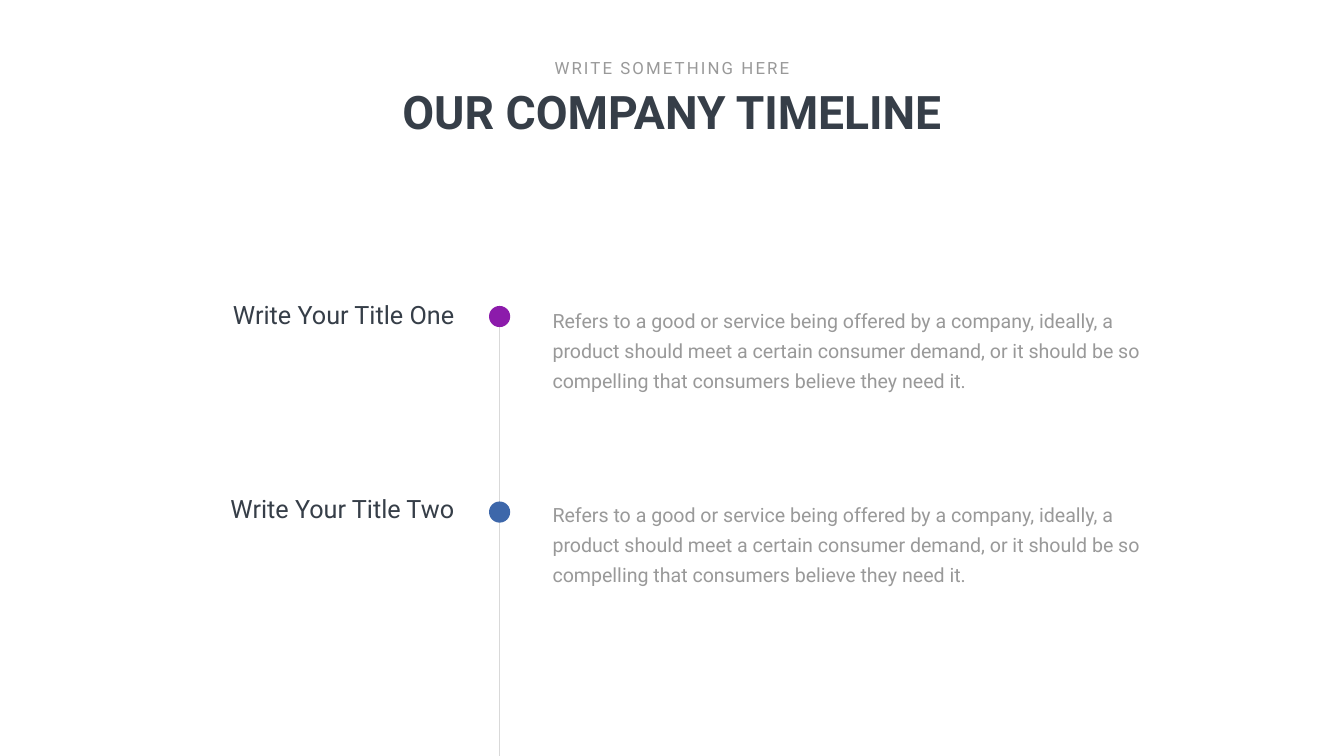
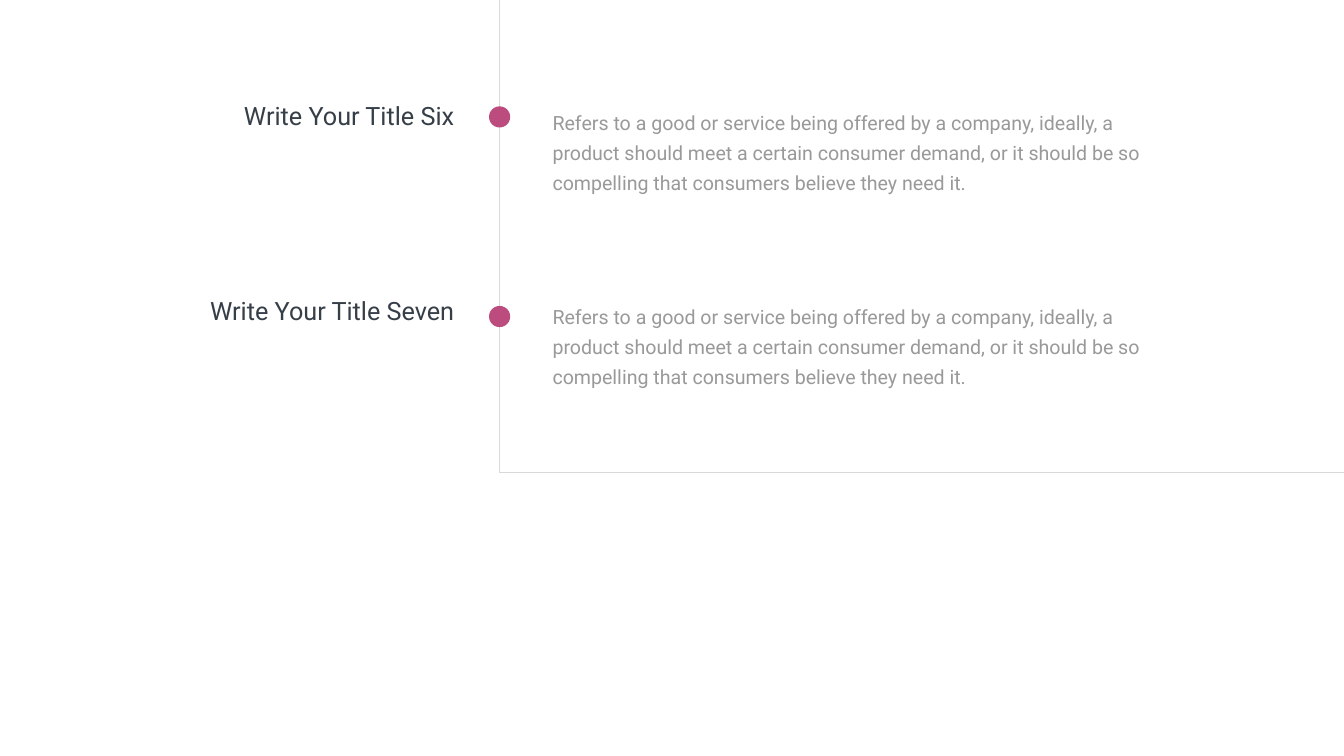
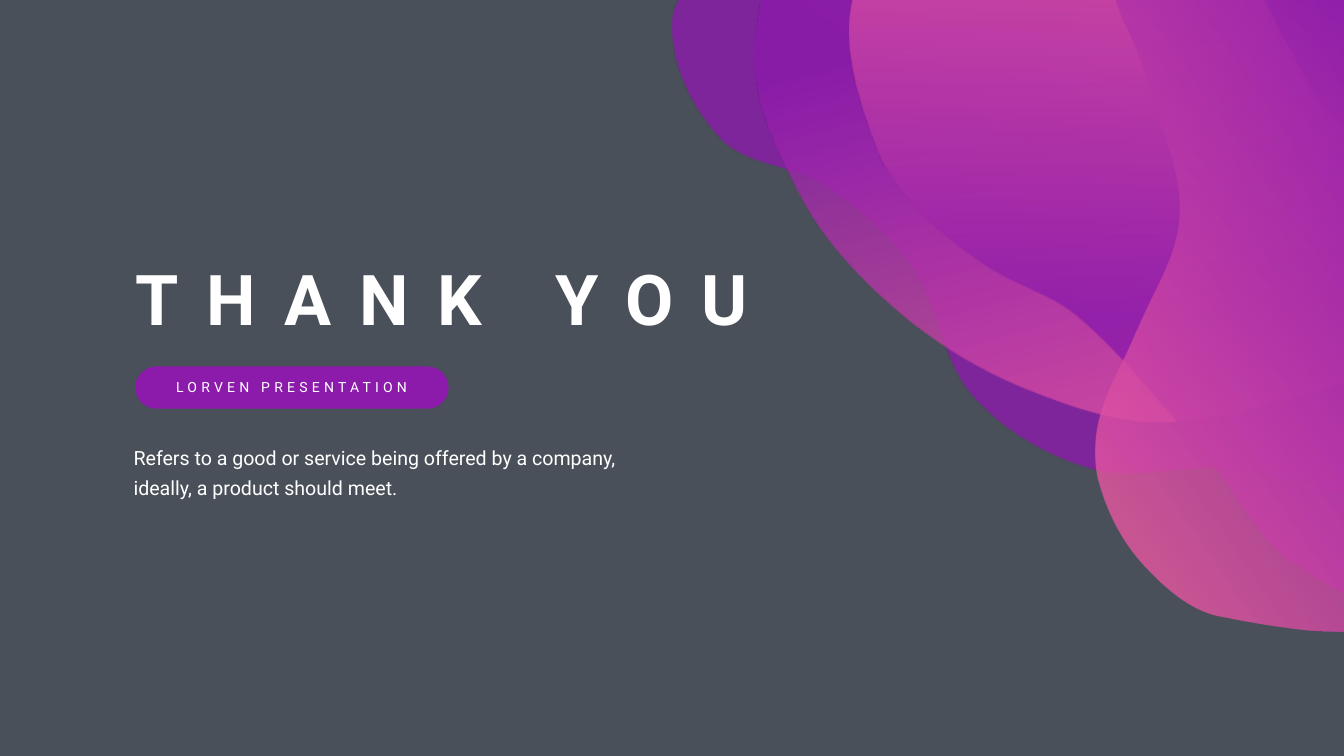
import math
from dataclasses import dataclass

from lxml import etree
from pptx import Presentation
from pptx.dml.color import RGBColor
from pptx.enum import shapes, text
from pptx.oxml.ns import qn
from pptx import util as u

PX = 9144  # one px is a hundredth of an inch


@dataclass(frozen=True)
class Theme:
    font: str = "Roboto"
    ink: str = "363E48"
    grey: str = "999999"
    rule: str = "D9D9D9"
    white: str = "FFFFFF"
    purple: str = "8C1BAB"
    blue: str = "3D67AA"
    rose: str = "BB4C7D"
    pink: str = "F761A0"
    closing_size: int = 100
    title_size: int = 66
    entry_size: int = 36
    body_size: int = 28
    kicker_size: int = 24
    label_size: int = 20
    body_leading: int = 43
    rule_width: float = 1.5
    backdrop_opacity: int = 90
    blob_opacity: int = 80
    blob_purple_from: float = 0.6


@dataclass(frozen=True)
class Box:
    left: int
    top: int
    width: int
    height: int

    def inner(self, left, top, width, height):
        return Box(self.left + left, self.top + top, width, height)

    def emu(self):
        return [u.Emu(n * PX) for n in (self.left, self.top, self.width, self.height)]


@dataclass(frozen=True)
class Blob:
    """A smooth closed outline; pink turns purple along the clockwise direction."""
    direction: int
    knots: tuple


THEME = Theme()
PAGE = Box(0, 0, 2666, 1500)
ALIGN = text.PP_ALIGN

# Timeline measures: the rule runs through the middle of every dot
RULE_X = 991
TIMELINE_LEFT = 370
DOT = 42
ENTRY_PITCH = 385
ENTRY_WIDTH, ENTRY_HEIGHT = 1997, 200

PRODUCT = ("Refers to a good or service being offered by a company, ideally, a product "
           "should meet a certain consumer demand, or it should be so compelling that "
           "consumers believe they need it.")

# From back to front; each blob needs only the knots its outline passes through
RIPPLE = Blob(125, ((1335, 40), (1430, 275), (1640, 370), (1810, 530), (1930, 785),
                    (2165, 930), (2450, 930), (3035, 1030), (3200, 810), (2960, 235),
                    (2620, -370), (2120, -390), (1645, -610), (1520, -385), (1460, -135)))
BOWL = Blob(255, ((1500, 70), (1585, 380), (1775, 610), (2035, 770), (2335, 835),
                  (2830, 690), (3090, 485), (3335, 30), (3020, -400), (2660, -235),
                  (2100, -590), (1690, -375)))
SWEEP = Blob(90, ((1685, 55), (1750, -140), (1935, -305), (2225, -290), (2445, -115),
                  (2550, 80), (2675, 260), (3060, 395), (3360, 685), (3285, 1090),
                  (2935, 1255), (2570, 1120), (2385, 895), (2140, 630), (1960, 530),
                  (1825, 420), (1740, 295)))
CORNER = Blob(325, ((2585, -540), (2845, -445), (2965, -150), (3070, 200), (3240, 505),
                    (3185, 990), (2855, 1230), (2420, 1220), (2270, 1120), (2185, 970),
                    (2180, 835), (2255, 655), (2340, 425), (2275, 155), (2200, -90),
                    (2320, -420)))
BLOBS = (RIPPLE, BOWL, SWEEP, CORNER)


def rgb(color):
    return RGBColor.from_string(color)


def set_opacity(shape, percent):
    for color in shape.element.spPr.iter(qn("a:srgbClr")):
        etree.SubElement(color, qn("a:alpha"), val=str(percent * 1000))


def write(shape, words, size, color, align=ALIGN.LEFT, bold=False, tracking=0,
          leading=None, wrap=True):
    """Fill a text box or placeholder with one formatted run."""
    frame = shape.text_frame
    frame.word_wrap = wrap
    frame.auto_size = text.MSO_AUTO_SIZE.SHAPE_TO_FIT_TEXT
    frame.vertical_anchor = text.MSO_ANCHOR.TOP
    para = frame.paragraphs[0]
    para.alignment = align
    if leading:
        para.line_spacing = u.Pt(leading)
    span = para.add_run()
    span.text = words
    span.font.name = THEME.font
    span.font.size = u.Pt(size)
    span.font.bold = bold
    span.font.color.rgb = rgb(color)
    if tracking:
        span.font._element.set("spc", str(tracking * 100))


def add_text(page, box, words, size, color, **style):
    shape = page.shapes.add_textbox(*box.emu())
    write(shape, words, size, color, **style)
    return shape


def add_body(page, box, words, color):
    frame = add_text(page, box, words, THEME.body_size, color,
                     leading=THEME.body_leading).text_frame
    frame.margin_left = frame.margin_right = u.Emu(24 * PX)
    frame.margin_top = frame.margin_bottom = u.Emu(12 * PX)


def place_title(page, box, words, size, color, **style):
    """Move the title placeholder into the box, in front of what is drawn so far."""
    title = page.shapes.title
    title.left, title.top, title.width, title.height = box.emu()
    title.element.getparent().append(title.element)
    write(title, words, size, color, bold=True, **style)


def add_filled(page, kind, box, color):
    shape = page.shapes.add_shape(kind, *box.emu())
    shape.shadow.inherit = False
    shape.fill.solid()
    shape.fill.fore_color.rgb = rgb(color)
    shape.line.fill.background()
    return shape


def add_rule(page, start, end):
    ends = [u.Emu(n * PX) for n in (*start, *end)]
    rule = page.shapes.add_connector(shapes.MSO_CONNECTOR.STRAIGHT, *ends)
    rule.line.color.rgb = rgb(THEME.rule)
    rule.line.width = u.Pt(THEME.rule_width)
    etree.SubElement(rule.element.spPr, qn("a:effectLst"))


# Smooth blobs

def handle(knot, before, after, reach):
    """Point at a distance from the knot, parallel to the line joining its neighbours."""
    share = reach / math.dist(before, after)
    return tuple(round(k + (a - b) * share) for k, b, a in zip(knot, before, after))


def smooth_curves(knots):
    """List two handles and an end knot for each curve of a closed outline."""
    points = []
    count = len(knots)
    for index, start in enumerate(knots):
        before = knots[index - 1]
        end = knots[(index + 1) % count]
        after = knots[(index + 2) % count]
        reach = math.dist(start, end) / 3
        points += [handle(start, before, end, reach), handle(end, start, after, -reach), end]
    return points


def bend_segments(freeform):
    """Turn every three straight segments of a freeform into one curve."""
    segments = list(freeform.element.spPr.iter(qn("a:lnTo")))
    for first in range(0, len(segments), 3):
        curve = etree.Element(qn("a:cubicBezTo"))
        segments[first].addprevious(curve)
        for segment in segments[first:first + 3]:
            curve.append(segment[0])
            segment.getparent().remove(segment)


def fill_blob(shape, direction):
    shape.fill.gradient()
    shape.fill.gradient_angle = 360 - direction
    pink, purple = shape.fill.gradient_stops
    pink.color.rgb, pink.position = rgb(THEME.pink), 0
    purple.color.rgb, purple.position = rgb(THEME.purple), THEME.blob_purple_from
    set_opacity(shape, THEME.blob_opacity)


def add_blob(page, box, blob):
    knots = [(box.left + x, box.top + y) for x, y in blob.knots]
    builder = page.shapes.build_freeform(*knots[0], scale=PX)
    builder.add_line_segments(smooth_curves(knots), close=True)
    shape = builder.convert_to_shape()
    bend_segments(shape)
    shape.shadow.inherit = False
    shape.line.fill.background()
    fill_blob(shape, blob.direction)


# Regions

def add_heading(page, box, kicker, title):
    place_title(page, box.inner(0, 51, box.width, 121), title,
                THEME.title_size, THEME.ink, align=ALIGN.CENTER)
    add_text(page, box.inner(322, 0, 500, 50), kicker, THEME.kicker_size, THEME.grey,
             align=ALIGN.CENTER, tracking=3, wrap=False)


def add_entry(page, box, title, color, dot_drop):
    """One timeline step: title, dot on the rule, description."""
    dot_left = RULE_X - DOT // 2 - box.left
    add_filled(page, shapes.MSO_SHAPE.OVAL, box.inner(dot_left, dot_drop, DOT, DOT), color)
    add_body(page, box.inner(702, 0, 1295, box.height), PRODUCT, THEME.grey)
    add_text(page, box.inner(0, 0, 541, 71), title, THEME.entry_size, THEME.ink,
             align=ALIGN.RIGHT)


def add_timeline(page, top, entries):
    for row, (title, color, dot_drop) in enumerate(entries):
        box = Box(TIMELINE_LEFT, top + row * ENTRY_PITCH, ENTRY_WIDTH, ENTRY_HEIGHT)
        add_entry(page, box, title, color, dot_drop)


def add_closing_words(page, box):
    place_title(page, box.inner(18, 0, 1463, 178), "THANK YOU",
                THEME.closing_size, THEME.white, tracking=40)
    pill = add_filled(page, shapes.MSO_SHAPE.ROUNDED_RECTANGLE,
                      box.inner(27, 226, 622, 84), THEME.purple)
    pill.adjustments[0] = 0.5
    add_text(page, box.inner(91, 245, 493, 44), "LORVEN PRESENTATION", THEME.label_size,
             THEME.white, align=ALIGN.CENTER, tracking=6, wrap=False)
    add_body(page, box.inner(0, 359, 1007, 139),
             "Refers to a good or service being offered by a company, ideally, "
             "a product should meet.", THEME.white)


# Slides

def build_timeline_start(deck):
    page = deck.slides.add_slide(deck.slide_layouts[5])
    add_rule(page, (RULE_X, 607), (RULE_X, PAGE.height))
    add_heading(page, Box(761, 110, 1144, 172), "WRITE SOMETHING HERE",
                "OUR COMPANY TIMELINE")
    add_timeline(page, 588, [
        ("Write Your Title One", THEME.purple, 19),
        ("Write Your Title Two", THEME.blue, 22),
    ])


def build_timeline_end(deck):
    page = deck.slides.add_slide(deck.slide_layouts[6])
    turn = (RULE_X, 938)
    add_rule(page, (RULE_X, 0), turn)
    add_rule(page, (PAGE.width, 938), turn)
    add_timeline(page, 195, [
        ("Write Your Title Six", THEME.rose, 16),
        ("Write Your Title Seven", THEME.rose, 27),
    ])


def build_closing(deck):
    page = deck.slides.add_slide(deck.slide_layouts[5])
    backdrop = add_filled(page, shapes.MSO_SHAPE.RECTANGLE, PAGE, THEME.ink)
    set_opacity(backdrop, THEME.backdrop_opacity)
    for blob in BLOBS:
        add_blob(page, PAGE, blob)
    add_closing_words(page, Box(241, 501, 1481, 498))


def main():
    deck = Presentation()
    deck.slide_width, deck.slide_height = PAGE.emu()[2:]
    build_timeline_start(deck)
    build_timeline_end(deck)
    build_closing(deck)
    deck.save("out.pptx")


if __name__ == "__main__":
    main()
